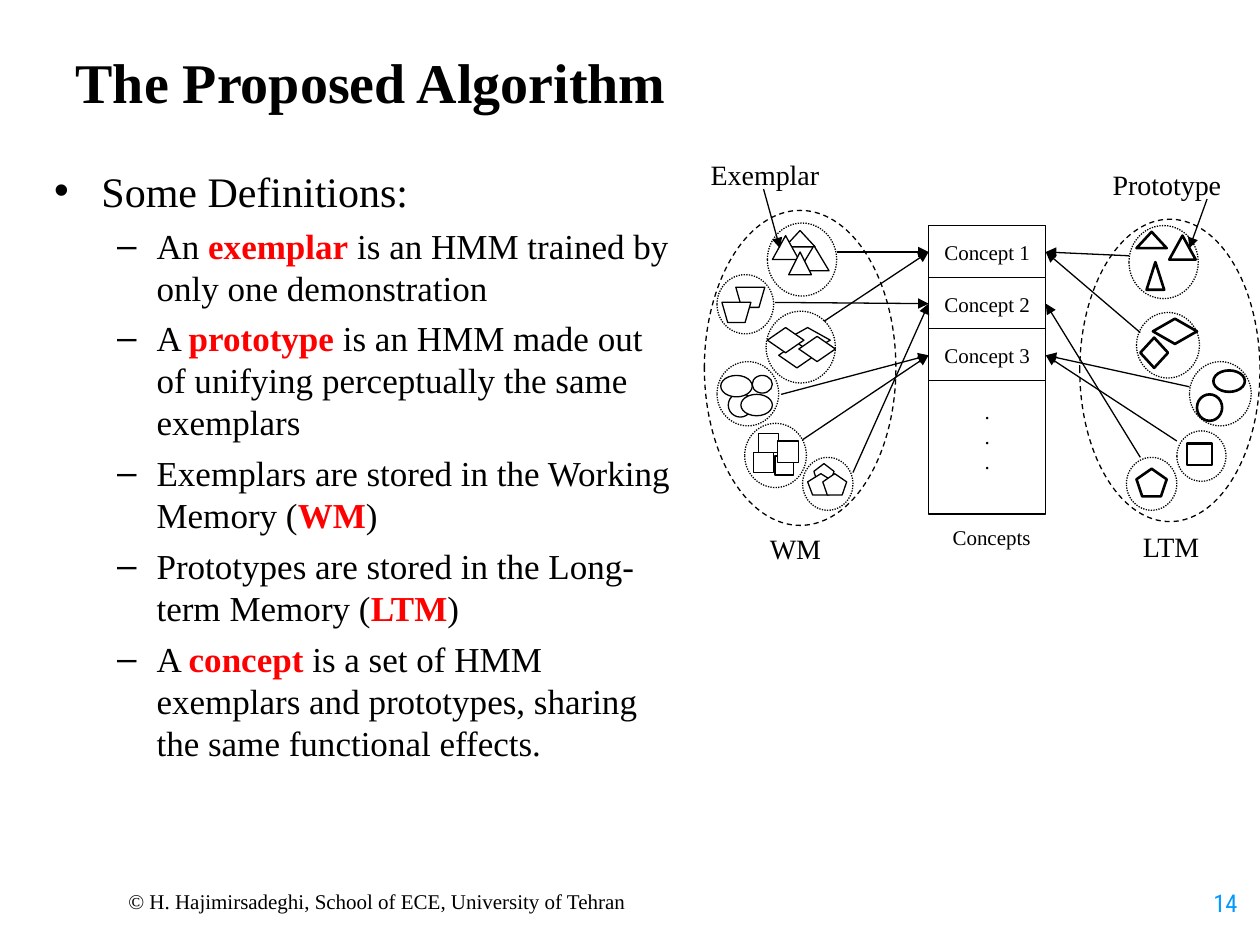
from typing import NamedTuple

from lxml import etree
from pptx import Presentation
from pptx.dml.color import RGBColor
from pptx.enum.dml import MSO_LINE
from pptx.enum.shapes import MSO_CONNECTOR, MSO_SHAPE
from pptx.enum.text import MSO_ANCHOR, MSO_AUTO_SIZE, PP_ALIGN
from pptx.oxml.ns import qn
from pptx.util import Inches, Pt

STRAIGHT = MSO_CONNECTOR.STRAIGHT
DASH, DOT = MSO_LINE.DASH, MSO_LINE.ROUND_DOT
OVAL, TRIANGLE, PENTAGON = MSO_SHAPE.OVAL, MSO_SHAPE.ISOSCELES_TRIANGLE, MSO_SHAPE.REGULAR_PENTAGON
SQUARE, DIAMOND = MSO_SHAPE.FLOWCHART_PROCESS, MSO_SHAPE.FLOWCHART_DECISION
TRAPEZOID, RECTANGLE = MSO_SHAPE.FLOWCHART_MANUAL_OPERATION, MSO_SHAPE.RECTANGLE
LEFT, CENTER, RIGHT = PP_ALIGN.LEFT, PP_ALIGN.CENTER, PP_ALIGN.RIGHT
TOP, MIDDLE = MSO_ANCHOR.TOP, MSO_ANCHOR.MIDDLE
NO_FIT = MSO_AUTO_SIZE.NONE

COLORS = {"ink": "000000", "paper": "FFFFFF", "term": "FF0000", "page": "0099FF"}
SERIF = "Times New Roman"
FORMATS = {
    "title": {"name": SERIF, "size": Pt(32), "bold": True},
    "heading": {"name": SERIF, "size": Pt(24), "bold": False},
    "definition": {"name": SERIF, "size": Pt(20), "bold": False},
    "term": {"name": SERIF, "size": Pt(20), "bold": True},
    "label": {"name": SERIF, "size": Pt(16)},
    "small": {"name": SERIF, "size": Pt(12)},
    "page": {"name": "Roboto Condensed", "size": Pt(14)},
}


class Box(NamedTuple):
    left: float
    top: float
    width: float
    height: float


class Label(NamedTuple):
    text: str
    box: Box
    filled: bool = True


class Memory(NamedTuple):
    """A store of clusters; each figure is a preset with its boxes."""
    outline: Box
    clusters: list[Box]
    figures: list[tuple[MSO_SHAPE, list[Box]]]
    labels: list[Label]
    pointer: tuple[float, float, float, float]
    figure_weight: float
    figures_filled: bool


class Definition(NamedTuple):
    before: str
    term: str
    after: str


DEFINITIONS = [
    Definition("An ", "exemplar", " is an HMM trained by only one demonstration"),
    Definition("A ", "prototype", " is an HMM made out of unifying perceptually the same exemplars"),
    Definition("Exemplars are stored in the Working Memory (", "WM", ")"),
    Definition("Prototypes are stored in the Long-term Memory (", "LTM", ")"),
    Definition("A ", "concept ", "is a set of HMM exemplars and prototypes, sharing the same functional effects."),
]

LTM = Memory(
    Box(8.57, 1.74, 1.43, 2.4),
    [Box(8.94, 3.63, 0.4, 0.42), Box(8.96, 1.79, 0.55, 0.58), Box(9.02, 2.48, 0.5, 0.52),
     Box(9.44, 2.87, 0.49, 0.51), Box(9.34, 3.42, 0.39, 0.4)],
    [(TRIANGLE, [Box(9.02, 1.84, 0.24, 0.13), Box(9.28, 1.87, 0.21, 0.19), Box(9.1, 2.08, 0.14, 0.22)]),
     (SQUARE, [Box(9.42, 3.52, 0.2, 0.17)]),
     (OVAL, [Box(9.63, 2.94, 0.25, 0.17), Box(9.5, 3.13, 0.2, 0.21)]),
     (DIAMOND, [Box(9.05, 2.68, 0.22, 0.24), Box(9.15, 2.53, 0.35, 0.2)]),
     (PENTAGON, [Box(9.02, 3.72, 0.24, 0.22)])],
    [Label("Prototype", Box(8.83, 1.33, 1.12, 0.33)), Label("LTM", Box(9.07, 4.2, 0.52, 0.3))],
    (9.58, 1.58, 9.44, 1.97), 1.5, False)

WM = Memory(
    Box(5.59, 1.67, 1.52, 2.5),
    [Box(5.69, 2.18, 0.45, 0.47), Box(6.37, 3.63, 0.4, 0.42), Box(6.09, 1.77, 0.55, 0.58),
     Box(6.08, 2.47, 0.55, 0.57), Box(5.69, 2.87, 0.49, 0.51), Box(5.91, 3.36, 0.49, 0.51)],
    [(TRIANGLE, [Box(6.23, 1.83, 0.24, 0.13), Box(6.34, 1.95, 0.24, 0.2),
                 Box(6.13, 1.87, 0.21, 0.19), Box(6.26, 2, 0.18, 0.18)]),
     (SQUARE, [Box(6.02, 3.44, 0.16, 0.15), Box(6.15, 3.62, 0.15, 0.15),
               Box(6.17, 3.5, 0.17, 0.17), Box(5.98, 3.59, 0.16, 0.16)]),
     (OVAL, [Box(5.97, 2.98, 0.16, 0.14), Box(5.78, 3.12, 0.19, 0.19),
             Box(5.72, 2.98, 0.25, 0.17), Box(5.88, 3.13, 0.25, 0.17)]),
     (DIAMOND, [Box(6.23, 2.6, 0.36, 0.2), Box(6.18, 2.72, 0.29, 0.2),
                Box(6.34, 2.67, 0.29, 0.2), Box(6.09, 2.6, 0.29, 0.2)]),
     (PENTAGON, [Box(6.46, 3.68, 0.16, 0.16), Box(6.41, 3.76, 0.21, 0.17), Box(6.53, 3.76, 0.19, 0.17)]),
     (TRAPEZOID, [Box(5.84, 2.28, 0.23, 0.16), Box(5.73, 2.4, 0.23, 0.16)])],
    [Label("Exemplar", Box(5.64, 1.25, 1.19, 0.33), False), Label("WM", Box(6.11, 4.22, 0.56, 0.19))],
    (6.06, 1.5, 6.19, 1.97), 0.75, True)

# Concept column, and the arrow starts with the index of the concept they reach
CONCEPT_LEFT, CONCEPT_RIGHT, CONCEPT_TOP = 7.37, 8.3, 1.79
CONCEPT_STEP, CONCEPT_HEIGHT = 0.41, 0.42
CONCEPT_WIDTH = round(CONCEPT_RIGHT - CONCEPT_LEFT, 2)
WM_STARTS = [(6.37, 3.49, 2), (6.64, 2, 0), (6.54, 2.55, 0), (6.15, 2.4, 1), (6.77, 3.75, 1), (6.2, 3.13, 2)]
LTM_STARTS = [(8.96, 2.03, 0), (9.05, 2.64, 0), (9.05, 3.63, 1), (9.44, 3.07, 2), (9.34, 3.5, 2)]


def inches(values) -> list:
    return [Inches(value) for value in values]


def color(key: str) -> RGBColor:
    return RGBColor.from_string(COLORS[key])


def add_run(paragraph, text: str, style: str, ink: str = "ink") -> None:
    run = paragraph.add_run()
    run.text = text
    for name, value in FORMATS[style].items():
        setattr(run.font, name, value)
    run.font.color.rgb = color(ink)


def write(frame, lines: list[str], style: str, align=LEFT, anchor=TOP, inset=(0.1, 0.05), ink="ink") -> None:
    side, edge = inches(inset)
    settings = {"word_wrap": True, "auto_size": NO_FIT, "vertical_anchor": anchor, "margin_left": side,
                "margin_right": side, "margin_top": edge, "margin_bottom": edge}
    for name, value in settings.items():
        setattr(frame, name, value)
    for number, line in enumerate(lines):
        paragraph = frame.add_paragraph() if number else frame.paragraphs[0]
        paragraph.alignment = align
        add_run(paragraph, line, style, ink)


def add_figure(shapes, preset, box: Box, weight: float = 0.75, filled: bool = False, dash=None):
    figure = shapes.add_shape(preset, *inches(box))
    figure.shadow.inherit = False
    if filled:
        figure.fill.solid()
        figure.fill.fore_color.rgb = color("paper")
    else:
        figure.fill.background()
    figure.line.color.rgb = color("ink")
    figure.line.width = Pt(weight)
    if dash:
        figure.line.dash_style = dash
    return figure


def add_arrow(shapes, ends: tuple[float, float, float, float]) -> None:
    arrow = shapes.add_connector(STRAIGHT, *inches(ends))
    arrow.line.color.rgb = color("ink")
    arrow.line.width = Pt(0.75)
    etree.SubElement(arrow.line._get_or_add_ln(), qn("a:tailEnd"), type="triangle")
    etree.SubElement(arrow._element.spPr, qn("a:effectLst"))


def add_label(shapes, label: Label, style: str = "label") -> None:
    text_box = shapes.add_textbox(*inches(label.box))
    if label.filled:
        text_box.fill.solid()
        text_box.fill.fore_color.rgb = color("paper")
    write(text_box.text_frame, [label.text], style, inset=(0, 0))


def add_concept(shapes, row: int, lines: list[str], height: float = CONCEPT_HEIGHT):
    box = Box(CONCEPT_LEFT, CONCEPT_TOP + row * CONCEPT_STEP, CONCEPT_WIDTH, height)
    concept = add_figure(shapes, RECTANGLE, box, filled=True)
    write(concept.text_frame, lines, "small", CENTER, MIDDLE)
    return concept


def add_memory(slide, memory: Memory) -> None:
    shapes = slide.shapes.add_group_shape().shapes
    add_figure(shapes, OVAL, memory.outline, dash=DASH)
    for cluster in memory.clusters:
        add_figure(shapes, OVAL, cluster, dash=DOT)
    for preset, boxes in memory.figures:
        for box in boxes:
            add_figure(shapes, preset, box, memory.figure_weight, memory.figures_filled)
    for label in memory.labels:
        add_label(shapes, label)
    add_arrow(shapes, memory.pointer)


def place(shape, box: Box) -> None:
    for name, value in zip(Box._fields, inches(box)):
        setattr(shape, name, value)


def add_definitions(body) -> None:
    place(body, Box(0.33, 1.26, 5.17, 5.46))
    write(body.text_frame, ["Some Definitions:"], "heading")
    body.text_frame.paragraphs[0].space_before = Pt(0)
    for definition in DEFINITIONS:
        paragraph = body.text_frame.add_paragraph()
        paragraph.level = 1
        paragraph.space_before = Pt(5)
        add_run(paragraph, definition.before, "definition")
        add_run(paragraph, definition.term, "term", "term")
        add_run(paragraph, definition.after, "definition")


def main() -> None:
    deck = Presentation()
    deck.slide_width, deck.slide_height = inches((10, 7.5))
    slide = deck.slides.add_slide(deck.slide_layouts[1])
    shapes = slide.shapes

    # Title, definitions, footer and page number
    place(shapes.title, Box(0.5, 0.35, 8.25, 0.58))
    write(shapes.title.text_frame, ["The Proposed Algorithm"], "title", anchor=MIDDLE)
    add_definitions(slide.placeholders[1])
    footer = shapes.add_textbox(*inches((0.92, 7, 8.58, 0.3)))
    write(footer.text_frame, ["© H. Hajimirsadeghi, School of ECE, University of Tehran"], "small")
    page = shapes.add_textbox(*inches((9.5, 7, 0.42, 0.33)))
    write(page.text_frame, ["14"], "page", RIGHT, ink="page")

    # Concept column; the deeper bottom margin lifts the dots
    for row in range(3):
        add_concept(shapes, row, [f"Concept {row + 1}"])
    more = add_concept(shapes, 3, ["."] * 3, 1.06)
    more.text_frame.margin_bottom = Inches(0.23)
    add_label(shapes, Label("Concepts", Box(7.56, 4.16, 0.75, 0.13)), "small")

    # Arrows from both memories into the concepts
    for starts, edge in ((WM_STARTS, CONCEPT_LEFT), (LTM_STARTS, CONCEPT_RIGHT)):
        for x, y, row in starts:
            add_arrow(shapes, (x, y, edge, CONCEPT_TOP + CONCEPT_HEIGHT / 2 + row * CONCEPT_STEP))

    add_memory(slide, LTM)
    add_memory(slide, WM)
    deck.save("out.pptx")


if __name__ == "__main__":
    main()
